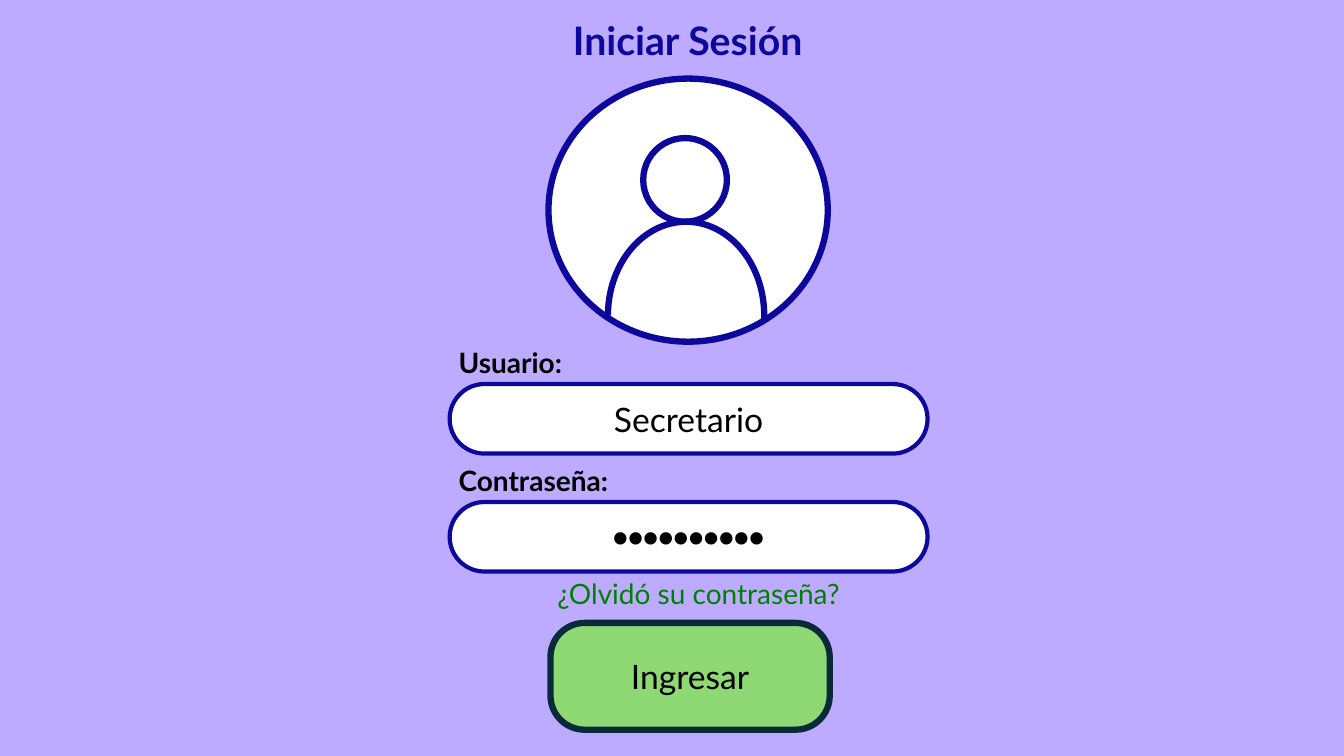
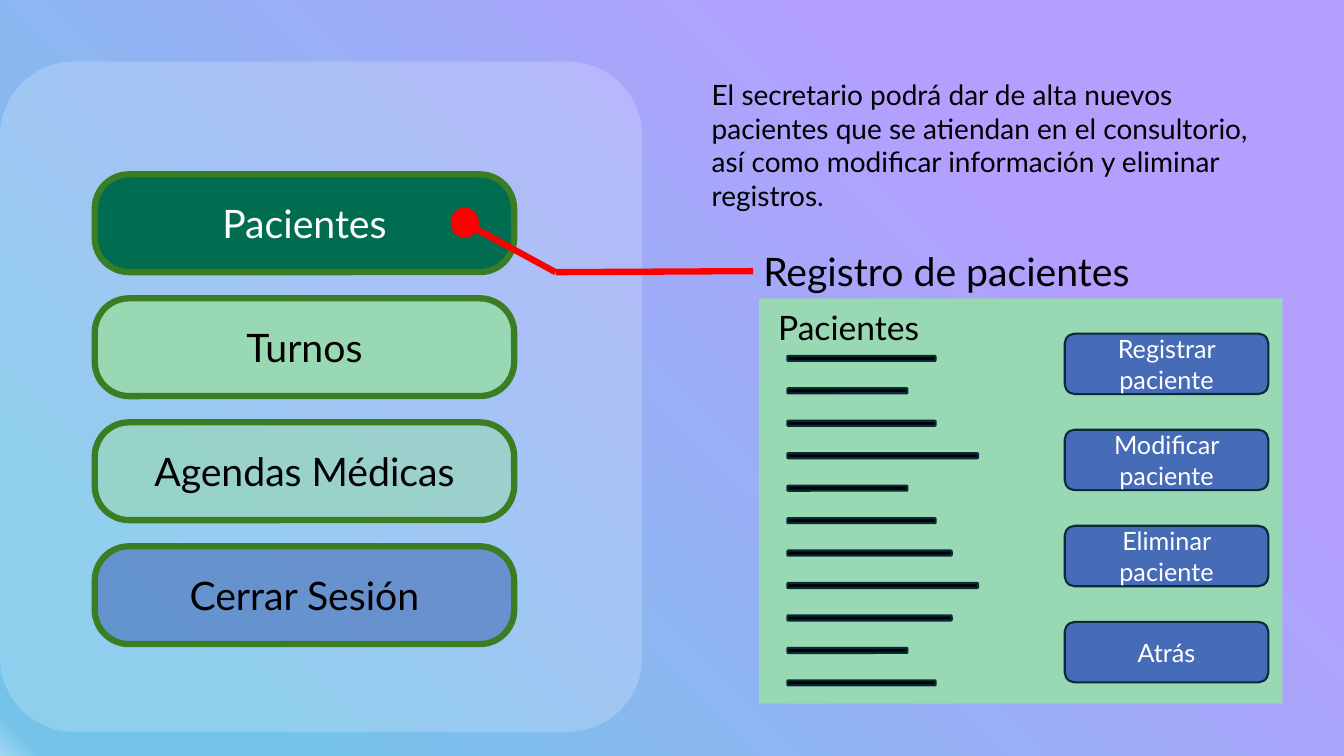
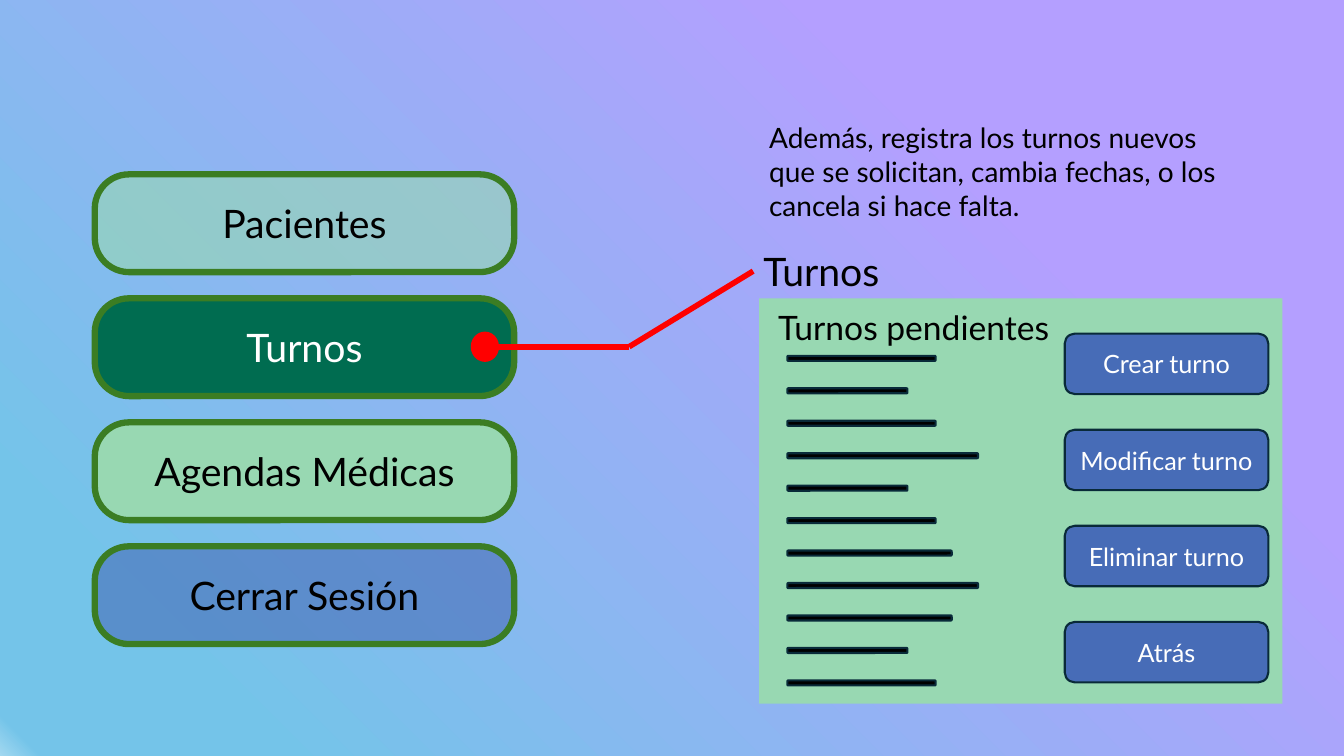
from itertools import pairwise

from lxml.etree import SubElement
from pptx import Presentation
from pptx.dml.color import RGBColor
from pptx.enum.shapes import MSO_CONNECTOR, MSO_SHAPE as SHAPE
from pptx.enum.text import MSO_ANCHOR as ANCHOR, MSO_AUTO_SIZE as AUTO_SIZE, PP_ALIGN as ALIGN
from pptx.oxml.ns import qn
from pptx.util import Inches, Pt

FONT = "Lato"
COLORS = {
    "lilac": "BDABFF", "navy": "0E079B", "white": "FFFFFF", "black": "000000",
    "link": "008000", "lime": "8ED973", "ink": "092A39", "mint": "98D8B2",
    "forest": "006C50", "border": "3B7D23", "blue": "476CB7", "red": "FF0000",
    "violet": "B49FFF", "sky": "74C4E9", "pale": "A2D8F0",
}
GRADIENT = [(25, "violet"), (87, "sky"), (98, "sky"), (100, "pale")]
MENU = ["Pacientes", "Turnos", "Agendas Médicas", "Cerrar Sesión"]
ROW_WIDTHS = [1.47, 1.19, 1.47, 1.89, 1.19, 1.47, 1.63, 1.89, 1.63, 1.19, 1.47]


def rgb(name):
    return RGBColor.from_string(COLORS[name])


def write(frame, text, size=20, color="black", bold=False, align=ALIGN.LEFT, anchor=ANCHOR.TOP):
    frame.word_wrap = True
    frame.vertical_anchor = anchor
    paragraph = frame.paragraphs[0]
    paragraph.alignment = align
    run = paragraph.add_run()
    run.text = text
    run.font.name = FONT
    run.font.size = Pt(size)
    run.font.bold = bold
    run.font.color.rgb = rgb(color)


class Deck:
    """Holds the shared style and the slide being built."""

    def __init__(self):
        self.presentation = Presentation()
        self.presentation.slide_width = Inches(13.33)
        self.presentation.slide_height = Inches(7.5)
        self.slide = None

    def new_slide(self, color=None):
        """Start a slide on a plain colour, or on the shared gradient."""
        title_only = self.presentation.slide_layouts[5]
        self.slide = self.presentation.slides.add_slide(title_only)
        fill = self.slide.background.fill
        if color:
            fill.solid()
            fill.fore_color.rgb = rgb(color)
            return
        fill.gradient()
        fill.gradient_angle = 225
        stops = next(self.slide.element.iter(qn("a:gsLst")))
        for stop in list(stops):
            stops.remove(stop)
        for percent, name in GRADIENT:
            stop = SubElement(stops, qn("a:gs"), pos=str(percent * 1000))
            SubElement(stop, qn("a:srgbClr"), val=COLORS[name])

    def title(self, text, left, top, width, **style):
        shape = self.slide.shapes.title
        shape.left, shape.top = Inches(left), Inches(top)
        shape.width, shape.height = Inches(width), Inches(0.57)
        shape.text_frame.auto_size = AUTO_SIZE.NONE
        write(shape.text_frame, text, size=28, **style)

    def text(self, text, left, top, width, height, **style):
        box = self.slide.shapes.add_textbox(*map(Inches, (left, top, width, height)))
        write(box.text_frame, text, **style)

    def shape(self, kind, left, top, width, height, fill=None, alpha=100,
              line=None, weight=1.5, adjust=(), text=None, **style):
        shape = self.slide.shapes.add_shape(kind, *map(Inches, (left, top, width, height)))
        shape.shadow.inherit = False
        for index, value in enumerate(adjust):
            shape.adjustments[index] = value
        if fill:
            shape.fill.solid()
            shape.fill.fore_color.rgb = rgb(fill)
        else:
            shape.fill.background()
        if alpha < 100:
            color = shape.element.spPr.find(qn("a:solidFill"))[0]
            SubElement(color, qn("a:alpha"), val=str(alpha * 1000))
        if line:
            shape.line.color.rgb = rgb(line)
            shape.line.width = Pt(weight)
        else:
            shape.line.fill.background()
        if text:
            write(shape.text_frame, text, align=ALIGN.CENTER, anchor=ANCHOR.MIDDLE, **style)
        return shape

    def callout(self, points, weight):
        """Red dot on the first point and a line through all of them."""
        x, y = points[0]
        self.shape(SHAPE.OVAL, x - 0.13, y - 0.14, 0.26, 0.28, fill="red", line="red")
        for start, end in pairwise(points):
            line = self.slide.shapes.add_connector(
                MSO_CONNECTOR.STRAIGHT, *map(Inches, start + end))
            line.line.color.rgb = rgb("red")
            line.line.width = Pt(weight)
            SubElement(line.element.spPr, qn("a:effectLst"))

    def field(self, label, value, top, size):
        """Labelled input box of the login form."""
        self.text(label, 4.45, top - 0.43, 3.07, 0.44, bold=True)
        self.shape(SHAPE.ROUNDED_RECTANGLE, 4.46, top, 4.74, 0.69, fill="white",
                   line="navy", weight=3, adjust=[0.5], text=value, size=size)

    def menu(self, selected):
        """Main menu: the chosen entry is dark, the one after it is opaque."""
        for index, label in enumerate(MENU):
            fill, alpha, color = "mint", 60, "black"
            if index == selected:
                fill, alpha, color = "forest", 100, "white"
            elif index == selected + 1:
                alpha = 100
            elif index == len(MENU) - 1:
                fill = "blue"
            self.shape(SHAPE.ROUNDED_RECTANGLE, 0.94, 1.73 + 1.23 * index, 4.16, 0.97,
                       fill=fill, alpha=alpha, line="border", weight=4.5,
                       adjust=[0.35], text=label, size=28, color=color)

    def window(self, title, heading, actions):
        """Mock window with a list of records and its action buttons."""
        self.title(title, 7.47, 2.4, 5.35)
        self.shape(SHAPE.RECTANGLE, 7.53, 2.96, 5.19, 4.02, fill="mint")
        self.text(heading, 7.62, 3, 2.93, 0.5, size=24)
        row_step = (6.75 - 3.53) / (len(ROW_WIDTHS) - 1)
        for index, width in enumerate(ROW_WIDTHS):
            self.shape(SHAPE.ROUNDED_RECTANGLE, 7.81, 3.53 + row_step * index,
                       width, 0.05, fill="black", line="ink")
        button_step = (6.17 - 3.31) / (len(actions) - 1)
        for index, action in enumerate(actions):
            self.shape(SHAPE.ROUNDED_RECTANGLE, 10.56, 3.31 + button_step * index, 2.02, 0.6,
                       fill="blue", line="ink", text=action, size=18, color="white")


def login_slide(deck):
    deck.new_slide("lilac")
    deck.title("Iniciar Sesión", 4.87, 0.11, 3.9, color="navy", bold=True, align=ALIGN.CENTER)
    # Form
    deck.field("Usuario:", "Secretario", 3.81, size=24)
    deck.field("Contraseña:", "●" * 10, 4.98, size=18)
    deck.text("¿Olvidó su contraseña?", 5.43, 5.67, 3.03, 0.44, color="link")
    deck.shape(SHAPE.ROUNDED_RECTANGLE, 5.46, 6.18, 2.77, 1.06, fill="lime", line="ink",
               weight=4.5, adjust=[0.32], text="Ingresar", size=24)
    # User icon: frame, head and shoulders
    outline = {"line": "navy", "weight": 4.5}
    deck.shape(SHAPE.OVAL, 5.44, 0.78, 2.77, 2.61, fill="white", **outline)
    deck.shape(SHAPE.OVAL, 6.38, 1.37, 0.83, 0.83, fill="white", **outline)
    shoulders = deck.shape(SHAPE.ARC, 6.03, 2.2, 1.55, 1.86, adjust=[106.42, 0], **outline)
    shoulders.element.spPr.xfrm.set("flipH", "1")


def patients_slide(deck):
    deck.new_slide()
    deck.shape(SHAPE.ROUNDED_RECTANGLE, 0, 0.61, 6.37, 6.65, fill="white", alpha=20,
               adjust=[0.116])
    deck.menu(selected=0)
    deck.callout([(4.61, 2.21), (5.51, 2.7), (7.47, 2.69)], weight=4.5)
    deck.window("Registro de pacientes", "Pacientes",
                ["Registrar paciente", "Modificar paciente", "Eliminar paciente", "Atrás"])
    deck.text("El secretario podrá dar de alta nuevos pacientes que se atiendan en el "
              "consultorio, así como modificar información y eliminar registros.",
              6.96, 0.72, 5.89, 1.45)


def appointments_slide(deck):
    deck.new_slide()
    deck.menu(selected=1)
    deck.window("Turnos", "Turnos pendientes",
                ["Crear turno", "Modificar turno", "Eliminar turno", "Atrás"])
    deck.callout([(4.81, 3.44), (6.24, 3.44), (7.47, 2.69)], weight=4)
    deck.text("Además, registra los turnos nuevos que se solicitan, cambia fechas, "
              "o los cancela si hace falta.", 7.53, 1.15, 4.76, 1.11)


def main():
    deck = Deck()
    login_slide(deck)
    patients_slide(deck)
    appointments_slide(deck)
    deck.presentation.save("out.pptx")


if __name__ == "__main__":
    main()
